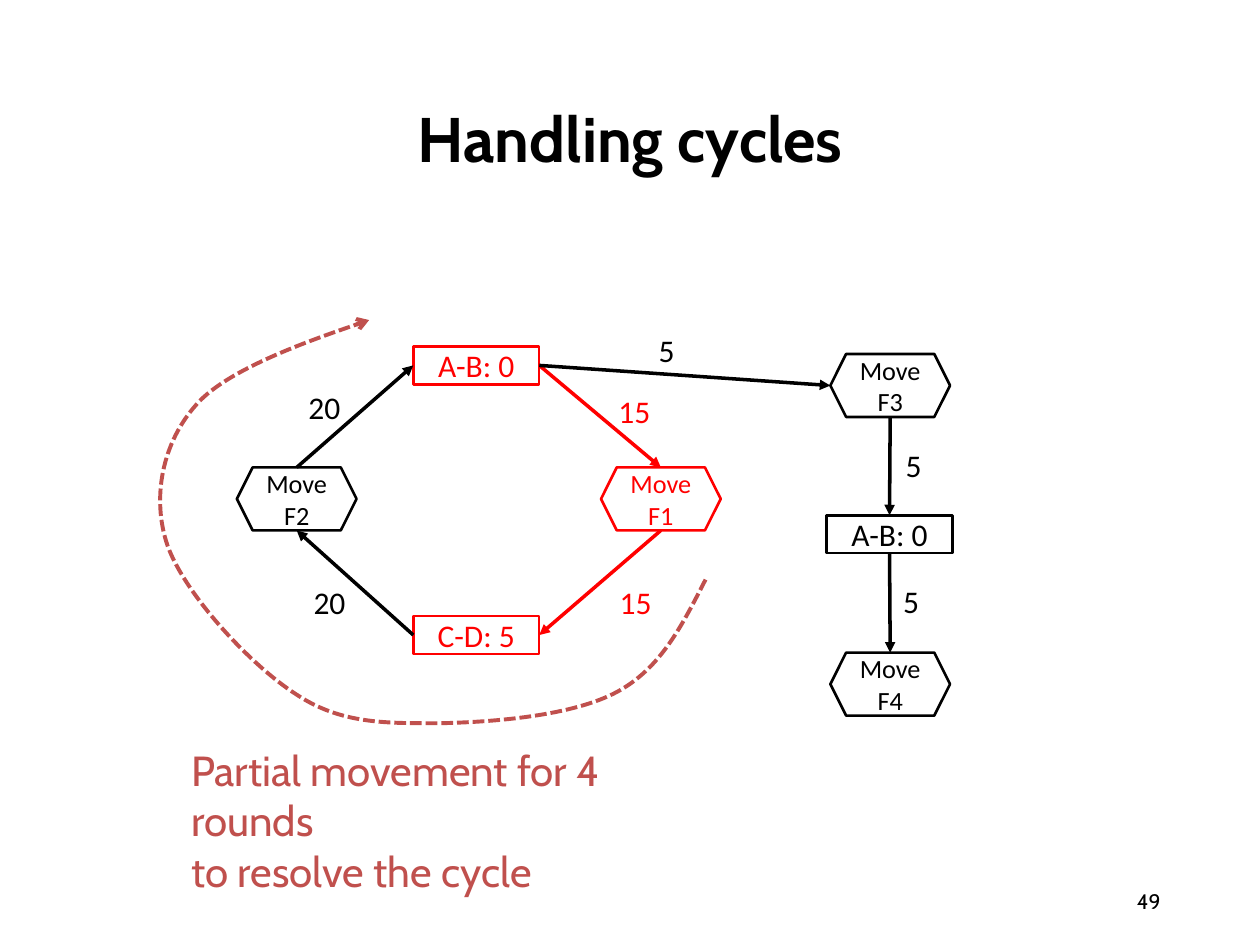
from typing import NamedTuple

from lxml import etree
from pptx import Presentation
from pptx import util as u
from pptx.dml.color import RGBColor
from pptx.enum import dml, shapes, text
from pptx.oxml.ns import qn

BLACK, RED, BRICK = "000000", "FF0000", "C0504D"
COLUMNS = 100  # square grid cells across the slide, 75 rows down
TOP, LEFT, BOTTOM, RIGHT = range(4)
SIDE_SHARES = {TOP: (0.5, 0), LEFT: (0, 0.5), BOTTOM: (0.5, 1), RIGHT: (1, 0.5)}

deck = Presentation()
deck.slide_width, deck.slide_height = u.Inches(10), u.Inches(7.5)
CELL = deck.slide_width / COLUMNS


class Node(NamedTuple):
    lines: str
    column: float
    row: float
    colour: str = BLACK
    is_move: bool = False


class Link(NamedTuple):
    source: str
    source_side: int
    target: str
    target_side: int
    colour: str = BLACK


class Label(NamedTuple):
    words: str
    column: float
    row: float
    colour: str = BLACK


def cells(*counts: float) -> list:
    return [u.Emu(round(count * CELL)) for count in counts]


def rgb(colour: str) -> RGBColor:
    return RGBColor.from_string(colour)


def write(frame, words: str, size: float, colour: str, font: str = "Calibri",
          align=text.PP_ALIGN.LEFT, bold: bool = False) -> None:
    frame.text = words
    for paragraph in frame.paragraphs:
        paragraph.alignment = align
        paragraph.font.size = u.Pt(size)
        paragraph.font.name = font
        paragraph.font.bold = bold
        paragraph.font.color.rgb = rgb(colour)


def draw_text(area: tuple, words: str, size: float, colour: str, font: str = "Calibri",
              align=text.PP_ALIGN.LEFT, anchor=text.MSO_ANCHOR.TOP) -> None:
    frame = slide.shapes.add_textbox(*cells(*area)).text_frame
    frame.word_wrap = True
    frame.vertical_anchor = anchor
    write(frame, words, size, colour, font, align)


def draw_node(node: Node):
    kind = shapes.MSO_SHAPE.HEXAGON if node.is_move else shapes.MSO_SHAPE.RECTANGLE
    width, height = (9.5, 5) if node.is_move else (10, 3)
    shape = slide.shapes.add_shape(kind, *cells(node.column, node.row, width, height))
    shape.shadow.inherit = False
    shape.fill.background()
    shape.line.color.rgb = rgb(node.colour)
    shape.line.width = u.Pt(1.5)
    frame = shape.text_frame
    frame.margin_left = frame.margin_right = frame.margin_top = frame.margin_bottom = 0
    frame.word_wrap = False
    frame.vertical_anchor = text.MSO_ANCHOR.MIDDLE
    write(frame, node.lines, 15 if node.is_move else 18, node.colour,
          align=text.PP_ALIGN.CENTER)
    return shape


def add_arrowhead(shape, kind: str) -> None:
    outline = shape._element.spPr.find(qn("a:ln"))
    etree.SubElement(outline, qn("a:tailEnd"), type=kind)


def side_middle(shape, side: int) -> tuple:
    across, down = SIDE_SHARES[side]
    return (u.Emu(round(shape.left + across * shape.width)),
            u.Emu(round(shape.top + down * shape.height)))


def draw_link(link: Link) -> None:
    source, target = drawn[link.source], drawn[link.target]
    arrow = slide.shapes.add_connector(
        shapes.MSO_CONNECTOR.STRAIGHT,
        *side_middle(source, link.source_side), *side_middle(target, link.target_side))
    if not nodes[link.source].is_move:
        arrow.begin_connect(source, link.source_side)
    if not nodes[link.target].is_move:
        arrow.end_connect(target, link.target_side)
    arrow.line.color.rgb = rgb(link.colour)
    arrow.line.width = u.Pt(2)
    add_arrowhead(arrow, "triangle")
    etree.SubElement(arrow._element.spPr, qn("a:effectLst"))


def draw_curve(start: tuple, bends: list, colour: str) -> None:
    """Draw a dashed arrow; each bend holds two control points and an end."""
    builder = slide.shapes.build_freeform(*cells(*start))
    builder.add_line_segments([cells(*point) for bend in bends for point in bend], close=False)
    curve = builder.convert_to_shape()
    steps = list(curve._element.iter(qn("a:lnTo")))
    for first in range(0, len(steps), 3):
        bezier = etree.Element(qn("a:cubicBezTo"))
        steps[first].addprevious(bezier)
        for step in steps[first:first + 3]:
            bezier.append(step[0])
            step.getparent().remove(step)
    curve.shadow.inherit = False
    curve.fill.background()
    curve.line.color.rgb = rgb(colour)
    curve.line.width = u.Pt(2.25)
    curve.line.dash_style = dml.MSO_LINE.SQUARE_DOT
    add_arrowhead(curve, "arrow")


# Title and page number
slide = deck.slides.add_slide(deck.slide_layouts[5])
title = slide.shapes.title
title.left, title.top, title.width, title.height = cells(6.9, 4, 86.2, 14.5)
title.text_frame.vertical_anchor = text.MSO_ANCHOR.MIDDLE
write(title.text_frame, "Handling cycles", 36, BLACK, "Cabin", text.PP_ALIGN.CENTER, True)
title.text_frame.paragraphs[0].line_spacing = 0.9
draw_text((70.6, 69.5, 22.5, 4), "49", 12, BLACK, "Cabin",
          text.PP_ALIGN.RIGHT, text.MSO_ANCHOR.MIDDLE)

# Resources (rectangles) and moves (hexagons)
nodes = {
    "A-B cycle": Node("A-B: 0", 32.8, 27.5, RED),
    "C-D": Node("C-D: 5", 32.8, 48.9, RED),
    "A-B chain": Node("A-B: 0", 65.6, 40.9),
    "F1": Node("Move\nF1", 47.7, 37.1, RED, True),
    "F2": Node("Move\nF2", 18.8, 37.1, BLACK, True),
    "F3": Node("Move\nF3", 65.9, 28.1, BLACK, True),
    "F4": Node("Move\nF4", 65.9, 51.8, BLACK, True),
}
drawn = {name: draw_node(node) for name, node in nodes.items()}

# Dependencies
for link in (
    Link("A-B cycle", RIGHT, "F1", TOP, RED),
    Link("F1", BOTTOM, "C-D", RIGHT, RED),
    Link("C-D", LEFT, "F2", BOTTOM),
    Link("F2", TOP, "A-B cycle", LEFT),
    Link("A-B cycle", RIGHT, "F3", LEFT),
    Link("F3", BOTTOM, "A-B chain", TOP),
    Link("A-B chain", BOTTOM, "F4", TOP),
):
    draw_link(link)

# Amounts on the dependencies
for label in (
    Label("5", 51.3, 25.8), Label("15", 48.1, 30.6, RED),
    Label("5", 70.9, 34.9), Label("5", 70.7, 45.7),
    Label("15", 48.2, 45.8, RED), Label("20", 23.9, 45.8), Label("20", 23.5, 30.3),
):
    draw_text((label.column, label.row, 5, 4), label.words, 18, label.colour)

# Direction around the cycle, with its caption
draw_curve((56, 46), [
    ((54.2, 49.5), (52.5, 53), (49, 54.9)),
    ((45.5, 56.8), (39.3, 57.3), (35, 57.4)),
    ((30.7, 57.4), (27.1, 57.5), (23.5, 55.1)),
    ((19.9, 52.8), (14.7, 47.2), (13.3, 43.3)),
    ((12, 39.5), (12.9, 35.1), (15.6, 32.1)),
    ((18.2, 29.1), (29.3, 25.4), (29.3, 25.4)),
], BRICK)
draw_text((14.2, 58.6, 44.3, 9.1), "Partial movement for 4 rounds\nto resolve the cycle",
          24, BRICK, "Cabin")

deck.save("out.pptx")
